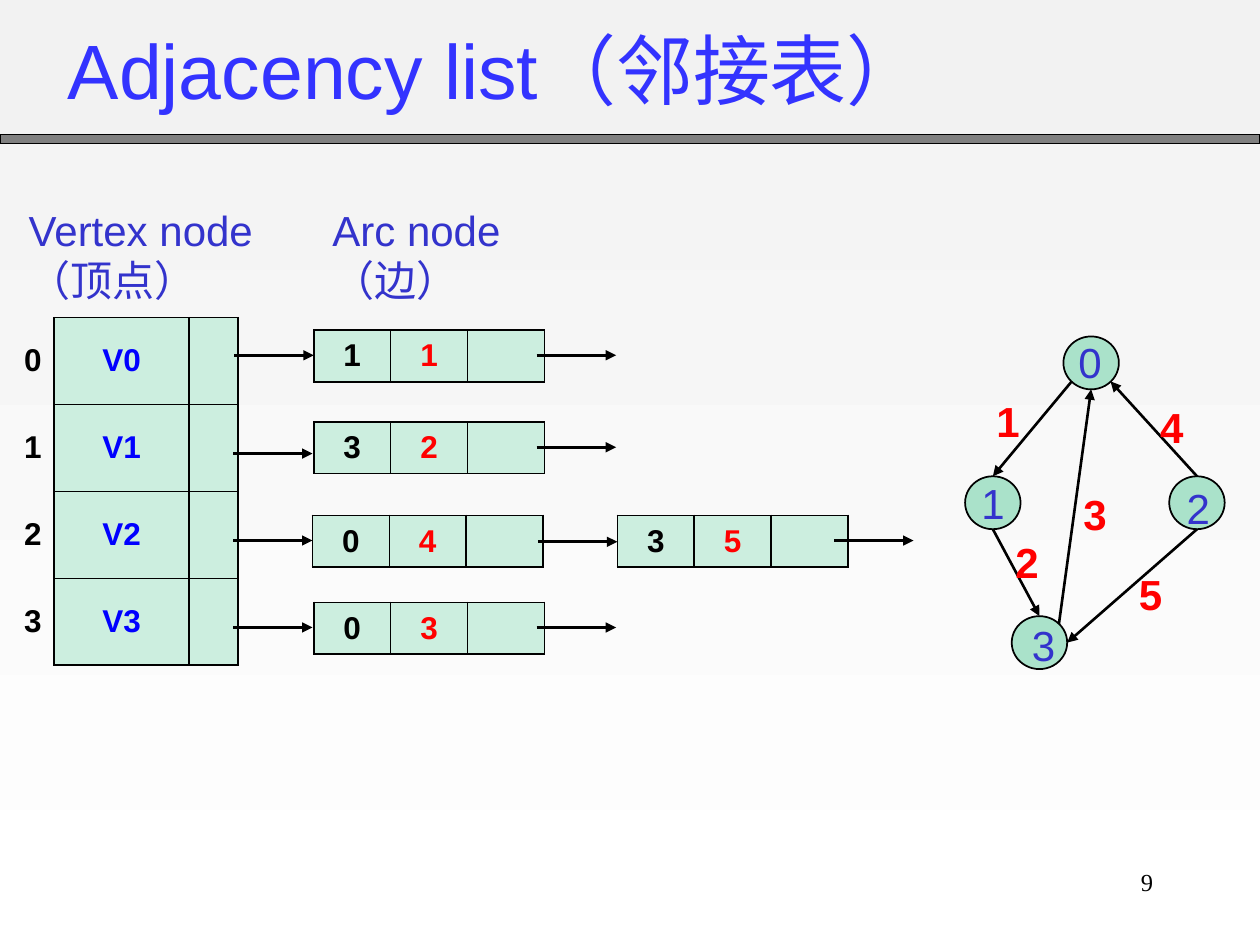
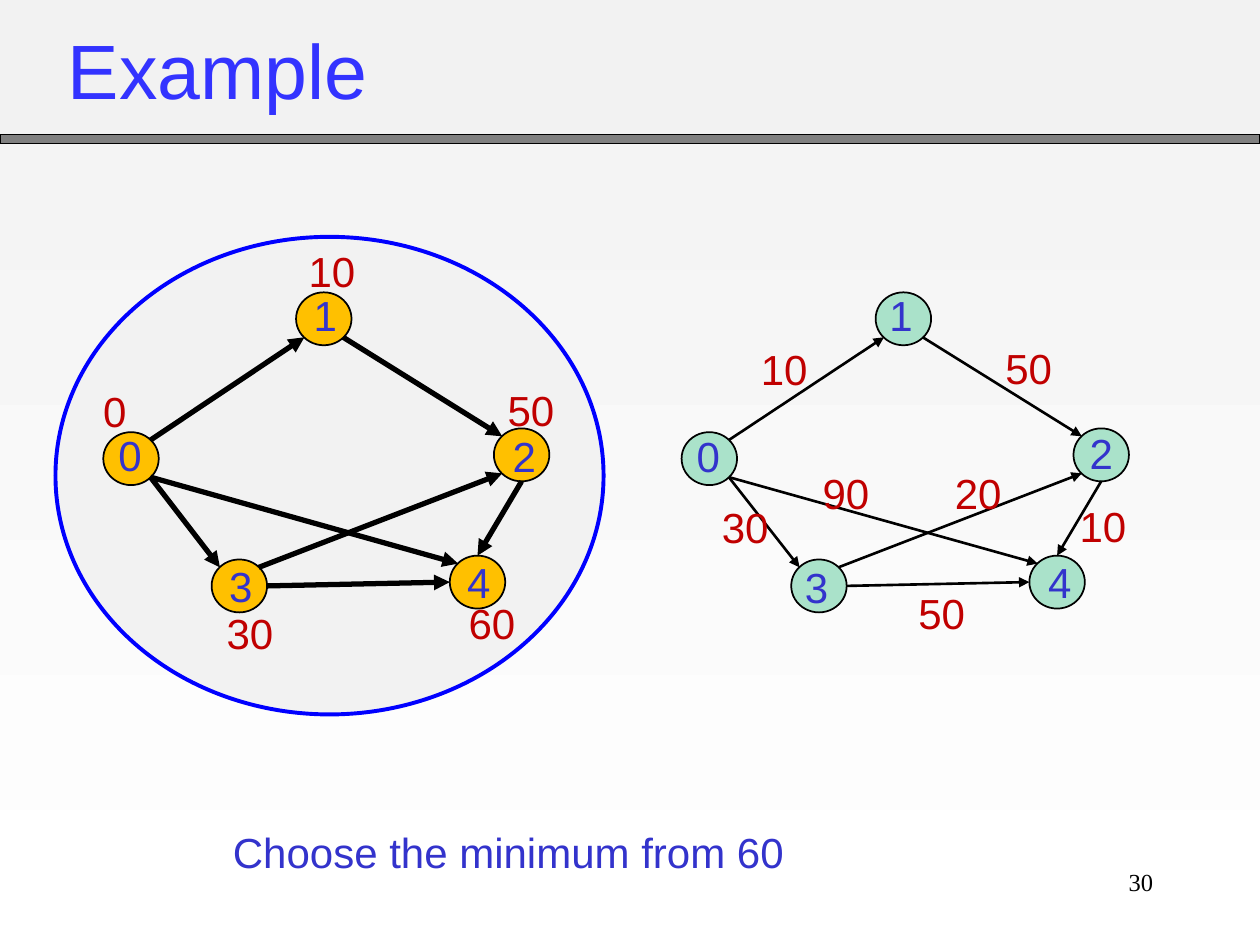
from lxml import etree
from pptx import Presentation
from pptx.dml.color import RGBColor
from pptx.enum.shapes import MSO_CONNECTOR, MSO_SHAPE
from pptx.enum.text import MSO_ANCHOR, PP_ALIGN
from pptx.oxml.ns import qn
from pptx.util import Inches, Pt

STRAIGHT = MSO_CONNECTOR.STRAIGHT
OVAL, RECTANGLE = MSO_SHAPE.OVAL, MSO_SHAPE.RECTANGLE
TOP, MIDDLE = MSO_ANCHOR.TOP, MSO_ANCHOR.MIDDLE
LEFT, CENTER, RIGHT = PP_ALIGN.LEFT, PP_ALIGN.CENTER, PP_ALIGN.RIGHT

BLACK, RED, DARK_RED = "000000", "FF0000", "C00000"
BLUE, TITLE_BLUE, LABEL_BLUE = "0000FF", "3333FF", "3333CC"
GREY, PALE_GREY, WHITE = "808080", "F2F2F2", "FFFFFF"
MINT, PALE_MINT, AMBER = "AAE2CA", "CCEEDF", "FFC000"

NODE_WIDTH, NODE_HEIGHT = 0.44, 0.42
ANCHORS = {
    "n": (0.5, 0), "s": (0.5, 1), "w": (0, 0.5), "e": (1, 0.5),
    "nw": (0.15, 0.15), "ne": (0.85, 0.15), "sw": (0.15, 0.85), "se": (0.85, 0.85),
}

LIST_GRAPH_NODES = {
    "0": (8.44, 2.67, 0.02, -0.05),
    "1": (7.66, 3.78, 0.03, -0.04),
    "2": (9.28, 3.78, 0.04, 0),
    "3": (8.03, 4.89, 0.06, -0.02),
}
LIST_GRAPH_EDGES = ["0 sw 1 n", "3 ne 0 s", "1 s 3 n", "2 n 0 se", "2 s 3 e"]
LIST_GRAPH_WEIGHTS = [
    ("1", 7.81, 3.09), ("2", 7.96, 4.21), ("3", 8.5, 3.83),
    ("4", 9.11, 3.14), ("5", 8.94, 4.46),
]
ARC_NODES = [
    (2.49, 2.62, "1", "1"), (2.49, 3.35, "3", "2"), (2.48, 4.09, "0", "4"),
    (4.9, 4.09, "3", "5"), (2.49, 4.78, "0", "3"),
]
POINTERS = [
    (1.86, 2.82), (1.85, 3.6), (1.85, 4.29), (1.85, 4.98),
    (4.26, 2.82), (4.26, 3.55), (4.27, 4.3), (4.26, 4.98), (6.62, 4.29),
]

DISTANCE_NODES = {
    "0": (0.82, 3.43, 0.02, -0.07),
    "1": (2.35, 2.32, 0.04, -0.07),
    "2": (3.92, 3.4, 0.05, -0.03),
    "3": (1.68, 4.44, 0.04, -0.04),
    "4": (3.57, 4.41, 0.04, -0.04),
}
WEIGHT_NODES = {
    "0": (5.41, 3.43, 0.02, -0.06),
    "1": (6.95, 2.32, 0.01, -0.07),
    "2": (8.52, 3.4, 0.03, -0.06),
    "3": (6.28, 4.44, 0.01, -0.03),
    "4": (8.17, 4.41, 0.05, -0.04),
}
EXAMPLE_EDGES = [
    "0 se 3 nw", "3 e 4 w", "0 ne 1 sw", "1 se 2 nw",
    "3 ne 2 sw", "2 s 4 n", "0 se 4 nw",
]
EXAMPLE_NUMBERS = [
    ("0", 0.72, 3.01), ("10", 2.35, 1.9), ("60", 3.62, 4.69),
    ("30", 1.7, 4.77), ("50", 3.93, 3),
    ("10", 5.94, 2.68), ("50", 7.88, 2.67), ("30", 5.63, 3.93),
    ("50", 7.19, 4.61), ("90", 6.43, 3.66), ("20", 7.48, 3.66), ("10", 8.47, 3.92),
]


def color(hex_string):
    """Turn a hex string into a colour."""
    return RGBColor.from_string(hex_string)


def anchor_point(node, side):
    """Return the point on the rim of a graph node."""
    across, down = ANCHORS[side]
    return node[0] + across * NODE_WIDTH, node[1] + down * NODE_HEIGHT


class Deck:
    """Hold the shared style and the current slide."""

    def __init__(self, presentation):
        """Set the slide size and the gradient background."""
        self.presentation = presentation
        self.presentation.slide_width = Inches(10)
        self.presentation.slide_height = Inches(7.5)
        self.slide = None
        fill = self.presentation.slide_master.background.fill
        fill.gradient()
        fill.gradient_angle = 270
        for stop, shade in zip(fill.gradient_stops, (PALE_GREY, WHITE)):
            stop.color.rgb = color(shade)

    def start_slide(self, title, number):
        """Add a slide with its title, rule and page number."""
        self.slide = self.presentation.slides.add_slide(self.presentation.slide_layouts[6])
        self.shape(RECTANGLE, 0, 1.07, 10, 0.07, GREY, BLACK, 0.75)
        self.text([title], 0.44, 0.1, 8.5, 0.89, TITLE_BLUE, size=44, anchor=MIDDLE)
        self.text([number], 7.17, 6.83, 2.08, 0.5, BLACK, size=14,
                  font="Times New Roman", align=RIGHT)

    def shape(self, kind, left, top, width, height, fill, line, weight):
        """Add a filled and outlined preset shape."""
        shape = self.slide.shapes.add_shape(
            kind, Inches(left), Inches(top), Inches(width), Inches(height))
        shape.shadow.inherit = False
        shape.fill.solid()
        shape.fill.fore_color.rgb = color(fill)
        shape.line.color.rgb = color(line)
        shape.line.width = Pt(weight)

    def styled_run(self, paragraph, words, ink, size, bold, align, font="Arial"):
        """Add one styled run to a paragraph."""
        paragraph.alignment = align
        run = paragraph.add_run()
        run.text = words
        run.font.name = font
        run.font.size = Pt(size)
        run.font.bold = bold
        run.font.color.rgb = color(ink)

    def text(self, lines, left, top, width, height, ink, size=24, bold=False,
             font="Arial", align=LEFT, anchor=TOP):
        """Add a text box with one paragraph per line."""
        box = self.slide.shapes.add_textbox(
            Inches(left), Inches(top), Inches(width), Inches(height))
        frame = box.text_frame
        frame.word_wrap = True
        frame.vertical_anchor = anchor
        for index, words in enumerate(lines):
            paragraph = frame.add_paragraph() if index else frame.paragraphs[0]
            self.styled_run(paragraph, words, ink, size, bold, align, font)

    def arrow(self, start, end, weight=1.5):
        """Add a straight arrow between two points."""
        connector = self.slide.shapes.add_connector(
            STRAIGHT, *(Inches(value) for value in (*start, *end)))
        connector.line.color.rgb = color(BLACK)
        connector.line.width = Pt(weight)
        properties = connector._element.spPr
        etree.SubElement(properties.find(qn("a:ln")), qn("a:tailEnd"), type="triangle")
        etree.SubElement(properties, qn("a:effectLst"))

    def graph(self, nodes, edges, fill, weight=1.5):
        """Draw the numbered nodes and arrows of a directed graph."""
        for left, top, _, _ in nodes.values():
            self.shape(OVAL, left, top, NODE_WIDTH, NODE_HEIGHT, fill, BLACK, 1)
        for edge in edges:
            source, source_side, target, target_side = edge.split()
            self.arrow(anchor_point(nodes[source], source_side),
                       anchor_point(nodes[target], target_side), weight)
        for name, (left, top, shift, drop) in nodes.items():
            self.text([name], left + shift, top + drop, 0.55, 0.51, LABEL_BLUE)

    def numbers(self, labels, width, ink, bold=False):
        """Add the loose numbers of a graph."""
        for words, left, top in labels:
            self.text([words], left, top, width, 0.51, ink, bold=bold)

    def borders(self, cell, visible):
        """Draw the named borders of a cell and clear the others."""
        properties = cell._tc.get_or_add_tcPr()
        for index, side in enumerate("LRTB"):
            line = etree.Element(qn(f"a:ln{side}"), w=str(Pt(1)))
            if side in visible:
                fill = etree.SubElement(line, qn("a:solidFill"))
                etree.SubElement(fill, qn("a:srgbClr"), val=BLACK)
            else:
                etree.SubElement(line, qn("a:noFill"))
            properties.insert(index, line)

    def table(self, rows, inks, left, top, widths, row_height, index_column=False):
        """Add a table of list cells, with an optional open index column."""
        table = self.slide.shapes.add_table(
            len(rows), len(widths), Inches(left), Inches(top),
            Inches(sum(widths)), Inches(row_height * len(rows))).table
        table.first_row = table.horz_banding = False
        for column, width in zip(table.columns, widths):
            column.width = Inches(width)
        for row_index, row in enumerate(rows):
            table.rows[row_index].height = Inches(row_height)
            for column_index, words in enumerate(row):
                cell = table.cell(row_index, column_index)
                is_index = index_column and column_index == 0
                cell.vertical_anchor = MIDDLE
                if is_index:
                    cell.fill.background()
                else:
                    cell.fill.solid()
                    cell.fill.fore_color.rgb = color(PALE_MINT)
                self.borders(cell, "R" if is_index else "LRTB")
                if words:
                    self.styled_run(cell.text_frame.paragraphs[0], words,
                                    inks[column_index], 18, True,
                                    RIGHT if is_index else CENTER)


def adjacency_list_slide(deck):
    """Build the adjacency list beside its graph."""
    deck.start_slide("Adjacency list（邻接表）", "9")
    deck.graph(LIST_GRAPH_NODES, LIST_GRAPH_EDGES, MINT)
    deck.numbers(LIST_GRAPH_WEIGHTS, 0.29, RED, bold=True)
    vertices = [(str(index), f"V{index}", "") for index in range(4)]
    deck.table(vertices, (BLACK, BLUE), -0.67, 2.52, (1.1, 1.07, 0.39), 0.69,
               index_column=True)
    for left, top, vertex, weight in ARC_NODES:
        deck.table([(vertex, weight, "")], (BLACK, RED), left, top, (0.61,) * 3, 0.41)
    for left, top in POINTERS:
        deck.arrow((left, top), (left + 0.63, top))
    deck.text(["Vertex node", "（顶点）"], 0.13, 1.57, 2.66, 0.91, LABEL_BLUE)
    deck.text(["Arc node", "（边）"], 2.54, 1.57, 2.66, 0.91, LABEL_BLUE)


def example_slide(deck):
    """Build the shortest distances beside the weighted graph."""
    deck.start_slide("Example", "30")
    deck.shape(OVAL, 0.44, 1.88, 4.35, 3.79, PALE_GREY, BLUE, 2.25)
    deck.graph(DISTANCE_NODES, EXAMPLE_EDGES, AMBER, weight=3)
    deck.graph(WEIGHT_NODES, EXAMPLE_EDGES, MINT)
    deck.numbers(EXAMPLE_NUMBERS, 0.85, DARK_RED)
    deck.text(["Choose the minimum from 60"], 1.75, 6.51, 4.68, 0.5, LABEL_BLUE)


def main():
    """Build and save the slides."""
    presentation = Presentation()
    deck = Deck(presentation)
    adjacency_list_slide(deck)
    example_slide(deck)
    presentation.save("out.pptx")


if __name__ == "__main__":
    main()
